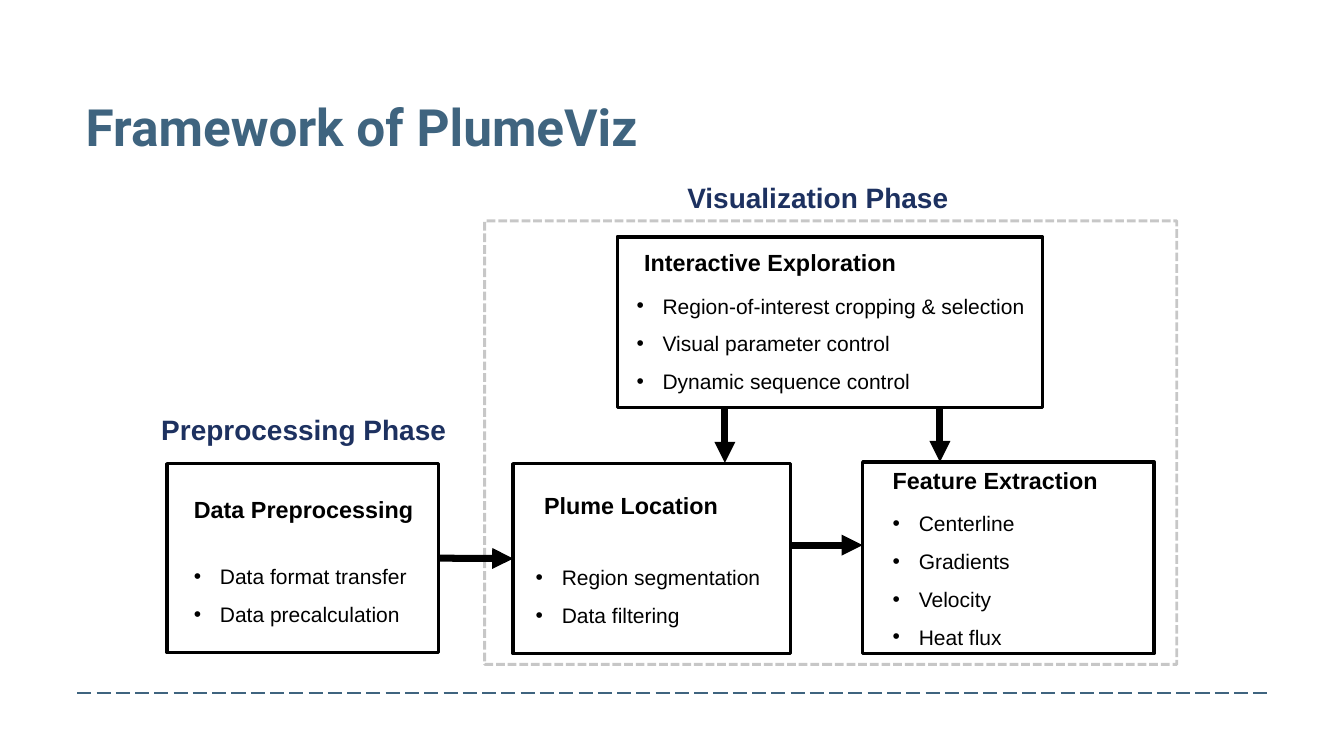
from lxml import etree
from pptx import Presentation
from pptx.dml.color import RGBColor
from pptx.enum.dml import MSO_LINE
from pptx.enum.shapes import MSO_CONNECTOR, MSO_SHAPE
from pptx.enum.text import MSO_ANCHOR, MSO_AUTO_SIZE, PP_ALIGN
from pptx.oxml.ns import qn
from pptx.util import Inches, Pt

STEEL = RGBColor(0x3F, 0x64, 0x7F)
NAVY = RGBColor(0x1D, 0x31, 0x60)
BLACK = RGBColor(0, 0, 0)

# Slide on a grid of 16 columns and 9 rows
deck = Presentation()
deck.slide_width, deck.slide_height = Inches(16), Inches(9)
COL, ROW = deck.slide_width / 16, deck.slide_height / 9
slide = deck.slides.add_slide(deck.slide_layouts[5])
shapes = slide.shapes


def cells(x, y, w, h):
    return int(x * COL), int(y * ROW), int(w * COL), int(h * ROW)


def write(lines, at, size=18, color=BLACK, font="Arial", bold=False,
          align=PP_ALIGN.LEFT, anchor=MSO_ANCHOR.TOP, bullet=False, shape=None):
    shape = shape or shapes.add_textbox(*cells(*at))
    shape.left, shape.top, shape.width, shape.height = cells(*at)
    frame = shape.text_frame
    frame.word_wrap = True
    frame.auto_size = MSO_AUTO_SIZE.NONE
    frame.vertical_anchor = anchor
    frame.text = "\n".join(lines)
    for para in frame.paragraphs:
        para.alignment = align
        if bullet:
            props = para._p.get_or_add_pPr()
            props.set("marL", str(Inches(0.31)))
            props.set("indent", str(-Inches(0.31)))
            etree.SubElement(props, qn("a:buFont"), typeface="Arial")
            etree.SubElement(props, qn("a:buChar"), char="•")
            para.line_spacing = 1.5
        for run in para.runs:
            run.font.name, run.font.size, run.font.bold = font, Pt(size), bold
            run.font.color.rgb = color


# Title and phase labels
write(["Framework of PlumeViz"], (0.92, 0.36, 14.17, 1.56), size=44, color=STEEL,
      font="Roboto", bold=True, anchor=MSO_ANCHOR.BOTTOM, shape=shapes.title)
for label, at in [("Preprocessing Phase", (1.73, 4.86, 3.77, 0.5)),
                  ("Visualization Phase", (7.34, 2.1, 4.79, 0.5))]:
    write([label], at, size=24, color=NAVY, bold=True, align=PP_ALIGN.CENTER)

# Phase frame and step boxes
rects = []
for at, width in [((5.77, 2.63, 8.24, 5.28), 2.5),
                  ((1.99, 5.52, 3.23, 2.25), 3),
                  ((6.11, 5.52, 3.3, 2.26), 3),
                  ((10.27, 5.5, 3.47, 2.28), 3),
                  ((7.35, 2.82, 5.06, 2.03), 3)]:
    rect = shapes.add_shape(MSO_SHAPE.RECTANGLE, *cells(*at))
    rect.shadow.inherit = False
    rect.fill.background()
    rect.line.color.rgb, rect.line.width = BLACK, Pt(width)
    rects.append(rect)
phase, prep, plume = rects[:3]
phase.line.dash_style = MSO_LINE.SQUARE_DOT
tint = phase.line._ln.find(".//" + qn("a:srgbClr"))
etree.SubElement(tint, qn("a:alpha"), val="21000")

# Step headings and their points
for head, spot, points, area in [
    ("Data Preprocessing", (2.21, 5.85, 3.2, 0.67),
     ["Data format transfer", "Data precalculation"], (2.21, 6.51, 3.13, 0.95)),
    ("Plume Location", (6.38, 5.8, 2.76, 0.67),
     ["Region segmentation", "Data filtering"], (6.28, 6.52, 3.13, 0.95)),
    ("Feature Extraction", (10.53, 5.5, 2.76, 0.6),
     ["Centerline", "Gradients", "Velocity", "Heat flux"], (10.53, 5.88, 3.13, 1.86)),
    ("Interactive Exploration", (7.57, 2.91, 3.52, 0.67),
     ["Region-of-interest cropping & selection", "Visual parameter control",
      "Dynamic sequence control"], (7.48, 3.29, 5, 1.86)),
]:
    write([head], spot, size=20, bold=True)
    write(points, area, bullet=True)

# Flow arrows and the dashed footer rule
links = []
for ends, width, color in [((5.23, 6.65, 6.11, 6.65), 6, BLACK),
                           ((9.4, 6.49, 10.27, 6.49), 6, BLACK),
                           ((11.19, 4.86, 11.19, 5.5), 6, BLACK),
                           ((8.63, 4.86, 8.63, 5.51), 6, BLACK),
                           ((0.92, 8.25, 15.08, 8.25), 1.5, STEEL)]:
    link = shapes.add_connector(MSO_CONNECTOR.STRAIGHT, *cells(*ends))
    link.line.color.rgb, link.line.width = color, Pt(width)
    etree.SubElement(link._element.spPr, qn("a:effectLst"))
    links.append(link)
*flows, rule = links
for flow in flows:
    etree.SubElement(flow.line._ln, qn("a:tailEnd"), type="triangle")
flows[0].begin_connect(prep, 3)
flows[0].end_connect(plume, 1)
rule.line.dash_style = MSO_LINE.LONG_DASH

deck.save("out.pptx")
